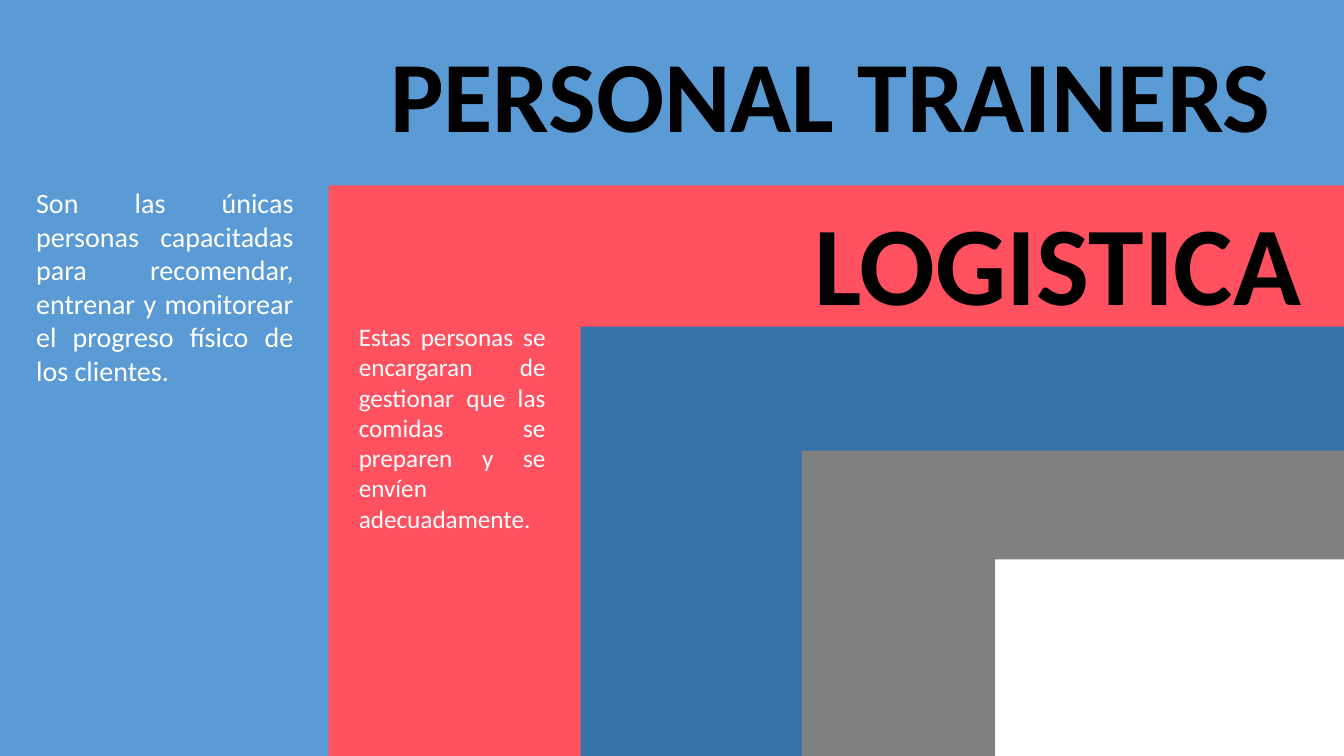
from dataclasses import dataclass

import pptx
import pptx.dml.color
import pptx.enum.shapes
import pptx.enum.text
import pptx.util
from pptx.util import Inches

ALIGN = pptx.enum.text.PP_ALIGN
SLIDE_WIDTH = 13.33
SLIDE_HEIGHT = 7.5
FONT = "Calibri"
COLORS = {
    "sky": "5B9BD5",
    "coral": "FF5160",
    "blue": "3671AB",
    "gray": "808080",
    "white": "FFFFFF",
    "black": "000000",
}


@dataclass
class Panel:
    left: float
    top: float
    color: str


@dataclass
class Label:
    text: str
    left: float
    top: float
    width: float
    height: float
    size: int
    color: str
    bold: bool
    align: ALIGN


PANELS = [
    Panel(0, 0, "sky"),
    Panel(3.26, 1.84, "coral"),
    Panel(5.76, 3.24, "blue"),
    Panel(7.95, 4.47, "gray"),
    Panel(9.87, 5.55, "white"),
]

TITLE = Label("PERSONAL TRAINERS", 3.77, 0.26, 9.57, 1.31, 72, "black", True, ALIGN.LEFT)

LABELS = [
    Label("LOGISTICA", 7.98, 1.87, 5.18, 1.45, 80, "black", True, ALIGN.LEFT),
    Label(
        "Son las únicas personas capacitadas para recomendar, entrenar y "
        "monitorear el progreso físico de los clientes.",
        0.26, 1.79, 2.75, 2.12, 20, "white", False, ALIGN.JUSTIFY,
    ),
    Label(
        "Estas personas se encargaran de gestionar que las comidas se "
        "preparen y se envíen adecuadamente.",
        3.46, 3.14, 2.05, 2.22, 18, "white", False, ALIGN.JUSTIFY,
    ),
]


def rgb(name: str) -> pptx.dml.color.RGBColor:
    return pptx.dml.color.RGBColor.from_string(COLORS[name])


def draw_panel(page: pptx.slide.Slide, panel: Panel) -> None:
    box = page.shapes.add_shape(
        pptx.enum.shapes.MSO_SHAPE.RECTANGLE,
        Inches(panel.left),
        Inches(panel.top),
        Inches(SLIDE_WIDTH - panel.left),
        Inches(SLIDE_HEIGHT - panel.top),
    )
    box.shadow.inherit = False
    box.fill.solid()
    box.fill.fore_color.rgb = rgb(panel.color)
    box.line.fill.background()


def write_label(box: pptx.shapes.autoshape.Shape, label: Label) -> None:
    box.left, box.top = Inches(label.left), Inches(label.top)
    box.width, box.height = Inches(label.width), Inches(label.height)
    frame = box.text_frame
    frame.text = label.text
    frame.word_wrap = True
    frame.auto_size = pptx.enum.text.MSO_AUTO_SIZE.SHAPE_TO_FIT_TEXT
    frame.vertical_anchor = pptx.enum.text.MSO_ANCHOR.TOP
    para = frame.paragraphs[0]
    para.alignment = label.align
    para.font.name = FONT
    para.font.size = pptx.util.Pt(label.size)
    para.font.bold = label.bold
    para.font.color.rgb = rgb(label.color)


def main() -> None:
    deck = pptx.Presentation()
    deck.slide_width = Inches(SLIDE_WIDTH)
    deck.slide_height = Inches(SLIDE_HEIGHT)
    page = deck.slides.add_slide(deck.slide_layouts.get_by_name("Title Only"))

    for panel in PANELS:
        draw_panel(page, panel)

    title = page.shapes.title
    title.element.getparent().append(title.element)
    write_label(title, TITLE)

    for label in LABELS:
        box = page.shapes.add_textbox(0, 0, Inches(label.width), Inches(label.height))
        write_label(box, label)

    deck.save("out.pptx")


if __name__ == "__main__":
    main()
